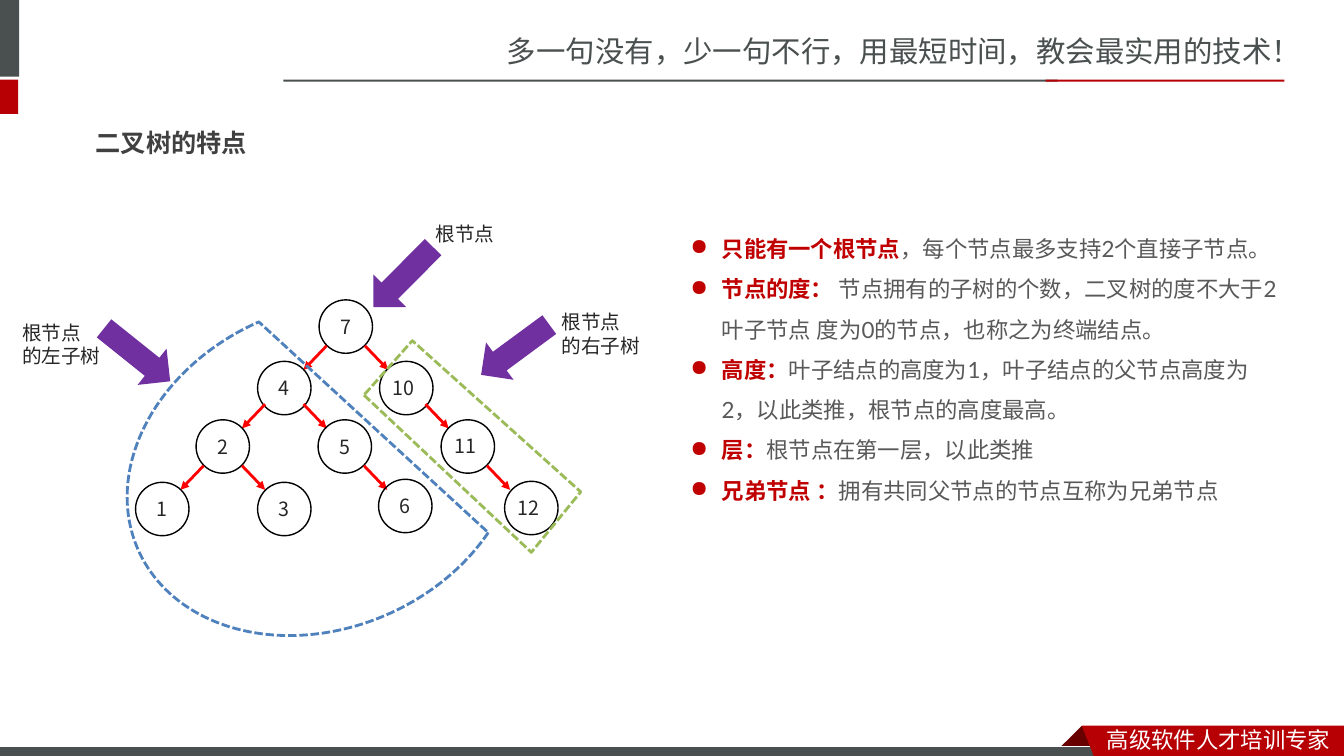
from dataclasses import dataclass

from lxml.etree import SubElement
from pptx import Presentation
from pptx.dml.color import RGBColor
from pptx.enum.dml import MSO_LINE
from pptx.enum.shapes import MSO_CONNECTOR, MSO_SHAPE
from pptx.enum.text import MSO_ANCHOR, MSO_AUTO_SIZE, PP_ALIGN
from pptx.oxml.ns import qn
from pptx.util import Inches, Pt


@dataclass(frozen=True)
class Theme:
    sans: str = "Noto Sans CJK SC"
    head: str = "Noto Sans CJK JP"
    body: str = "Lato"
    white: str = "FFFFFF"
    black: str = "000000"
    slate: str = "49504F"
    brand: str = "B60004"
    dark: str = "680000"
    ink: str = "262626"
    title: str = "404040"
    text: str = "595959"
    key: str = "C00000"
    edge: str = "FF0000"
    arrow: str = "7030A0"
    left: str = "4F81BD"
    right: str = "9BBB59"
    big: int = 21
    mid: int = 18
    base: int = 16
    small: int = 14


class Deck:
    """Draws on a grid of 133.3 columns by 75 rows."""
    COLS, ROWS = 133.3, 75

    def __init__(self, theme):
        self.theme = theme
        self.prs = Presentation()
        self.prs.slide_width, self.prs.slide_height = Inches(13.33), Inches(7.5)
        self.slide = self.prs.slides.add_slide(self.prs.slide_layouts[5])
        self.shapes = self.slide.shapes

    def col(self, n):
        return round(self.prs.slide_width * n / self.COLS)

    def row(self, n):
        return round(self.prs.slide_height * n / self.ROWS)

    def box(self, x, y, w, h):
        return self.col(x), self.row(y), self.col(w), self.row(h)

    def paint(self, shape, fill=None, line=None, width=1, dash=None):
        shape.shadow.inherit = False
        if fill:
            shape.fill.solid()
            shape.fill.fore_color.rgb = RGBColor.from_string(fill)
        else:
            shape.fill.background()
        if line:
            shape.line.color.rgb = RGBColor.from_string(line)
            shape.line.width = Pt(width)
            shape.line.dash_style = dash
        else:
            shape.line.fill.background()
        return shape

    def shape(self, kind, at, turn=0, **look):
        item = self.shapes.add_shape(kind, *self.box(*at))
        item.rotation = turn
        return self.paint(item, **look)

    def poly(self, dots, **look):
        spots = [(self.col(x), self.row(y)) for x, y in dots]
        form = self.shapes.build_freeform(*spots[0], scale=1)
        form.add_line_segments(spots[1:], close=True)
        return self.paint(form.convert_to_shape(), **look)

    def edge(self, x, y, to_x, to_y):
        line = self.shapes.add_connector(
            MSO_CONNECTOR.STRAIGHT, self.col(x), self.row(y), self.col(to_x), self.row(to_y))
        line.line.color.rgb = RGBColor.from_string(self.theme.edge)
        line.line.width = Pt(2)
        SubElement(line.line._get_or_add_ln(), qn("a:tailEnd"), type="triangle")
        SubElement(line._element.spPr, qn("a:effectLst"))

    def run(self, para, text, size, color, font=None, bold=False):
        run = para.add_run()
        run.text = text
        run.font.size, run.font.bold = Pt(size), bold
        run.font.color.rgb = RGBColor.from_string(color)
        run.font.name = font or self.theme.sans
        SubElement(run._r.get_or_add_rPr(), qn("a:ea"), typeface=run.font.name)

    def text(self, at, lines, size, color, align=PP_ALIGN.LEFT):
        frame = self.shapes.add_textbox(*self.box(*at)).text_frame
        frame.word_wrap = False
        for i, line in enumerate(lines):
            para = frame.add_paragraph() if i else frame.paragraphs[0]
            para.alignment = align
            self.run(para, line, size, color)

    def title(self, at, text):
        head = self.shapes.title
        head.left, head.top, head.width, head.height = self.box(*at)
        frame = head.text_frame
        frame.auto_size, frame.word_wrap = MSO_AUTO_SIZE.NONE, True
        frame.vertical_anchor = MSO_ANCHOR.TOP
        para = frame.paragraphs[0]
        para.alignment, para.line_spacing = PP_ALIGN.LEFT, 1.5
        para.space_before = Pt(0)
        self.run(para, text, self.theme.mid, self.theme.title, self.theme.head, True)

    def list(self, at, items):
        t = self.theme
        frame = self.shapes.add_textbox(*self.box(*at)).text_frame
        frame.word_wrap = True
        for i, (term, note) in enumerate(items):
            para = frame.add_paragraph() if i else frame.paragraphs[0]
            props = para._p.get_or_add_pPr()
            props.set("marL", str(Inches(0.31)))
            props.set("indent", str(-Inches(0.31)))
            SubElement(props, qn("a:buChar"), char="●")
            para.line_spacing = 1.5
            self.run(para, term, t.base, t.key, t.body, True)
            self.run(para, note, t.base, t.text, t.body)

    def node(self, x, y, label):
        t, size = self.theme, 5.3
        disc = self.shape(MSO_SHAPE.OVAL, (x - size / 2, y - size / 2, size, size), line=t.black)
        if len(label) > 1:  # wide labels need more room than the disc gives
            self.text((x - 2.4, y - 1.7, 4.3, 3.4), [label], t.small, t.ink, PP_ALIGN.CENTER)
            return
        frame = disc.text_frame
        frame.vertical_anchor = MSO_ANCHOR.MIDDLE
        frame.paragraphs[0].alignment = PP_ALIGN.CENTER
        self.run(frame.paragraphs[0], label, t.small, t.ink)


def main():
    t = Theme()
    deck = Deck(t)

    # Header
    deck.text((49.3, 2.8, 84.1, 4.7), ["多一句没有，少一句不行，用最短时间，教会最实用的技术！"], t.big, t.slate)
    for at, fill in (((-0.6, 0, 2.5, 7.6), t.slate), ((-0.6, 7.9, 2.4, 3.4), t.brand),
                     ((28.1, 7.9, 76.8, 0.2), t.slate), ((103.7, 7.9, 23.7, 0.2), t.brand)):
        deck.shape(MSO_SHAPE.RECTANGLE, at, fill=fill)
    deck.title((8.5, 10.6, 83.8, 5.1), "二叉树的特点")

    # Footer
    deck.poly([(107.3, 72), (109.5, 74.2), (109.4, 74.3), (105.2, 74.3), (105.1, 74.2)], fill=t.dark)
    deck.shape(MSO_SHAPE.RECTANGLE, (-0.1, 74.1, 110, 1.2), fill=t.slate, line=t.white, width=0.75)
    deck.poly([(107.3, 72), (133.3, 72), (133.3, 75.4), (108.6, 75.3)], fill=t.brand)
    deck.text((108.8, 71.5, 24.5, 3.7), ["高级软件人才培训专家"], t.base, t.white)

    # Tree: label -> centre and children
    tree = {
        "7": (34.3, 32.4, ("4", "10")), "4": (28.2, 38.5, ("2", "5")),
        "10": (40.3, 38.5, ("11",)), "2": (22.1, 44.3, ("1", "3")),
        "5": (34.2, 44.3, ("6",)), "11": (46.4, 44.3, ("12",)),
        "1": (16.1, 50.5, ()), "3": (28.2, 50.5, ()),
        "6": (40.2, 50.2, ()), "12": (52.7, 50.4, ()),
    }
    starts = {32.4: 34.3, 38.5: 40.1, 44.3: 46.2}
    for label, (x, y, kids) in tree.items():
        deck.node(x, y, label)
        for kid in kids:
            side = 1 if tree[kid][0] > x else -1
            deck.edge(x + 1.9 * side, starts[y], x + 4.2 * side, starts[y] + 2.4)

    # Subtree outlines
    deck.shape(MSO_SHAPE.CHORD, (12, 30.6, 40.1, 31.7), 336.3,
               line=t.left, width=2, dash=MSO_LINE.SQUARE_DOT)
    deck.poly([(36.1, 39.2), (52.7, 54.8), (57.6, 48.8), (40.9, 33.8)],
              line=t.right, width=2, dash=MSO_LINE.SQUARE_DOT)

    # Callouts
    for x, y, turn, at, lines in (
            (37.7, 23.3, 44.9, (42.2, 21.5, 7.9, 3.4), ["根节点"]),
            (11.3, 31, 308.7, (1.2, 31.3, 9.9, 5.7), ["根节点", "的左子树"]),
            (48.8, 30.5, 53.6, (54.7, 30.3, 9.9, 5.7), ["根节点", "的右子树"])):
        deck.shape(MSO_SHAPE.DOWN_ARROW, (x, y, 4.6, 8.4), turn, fill=t.arrow)
        deck.text(at, lines, t.small, t.ink)

    # Key points
    deck.list((67.5, 21.5, 60.3, 28.8), [
        ("只能有一个根节点", "，每个节点最多支持2个直接子节点。"),
        ("节点的度： ", "节点拥有的子树的个数，二叉树的度不大于2 叶子节点 度为0的节点，也称之为终端结点。"),
        ("高度：", "叶子结点的高度为1，叶子结点的父节点高度为2，以此类推，根节点的高度最高。"),
        ("层：", "根节点在第一层，以此类推"),
        ("兄弟节点 ：", "拥有共同父节点的节点互称为兄弟节点"),
    ])

    deck.prs.save("out.pptx")


if __name__ == "__main__":
    main()
